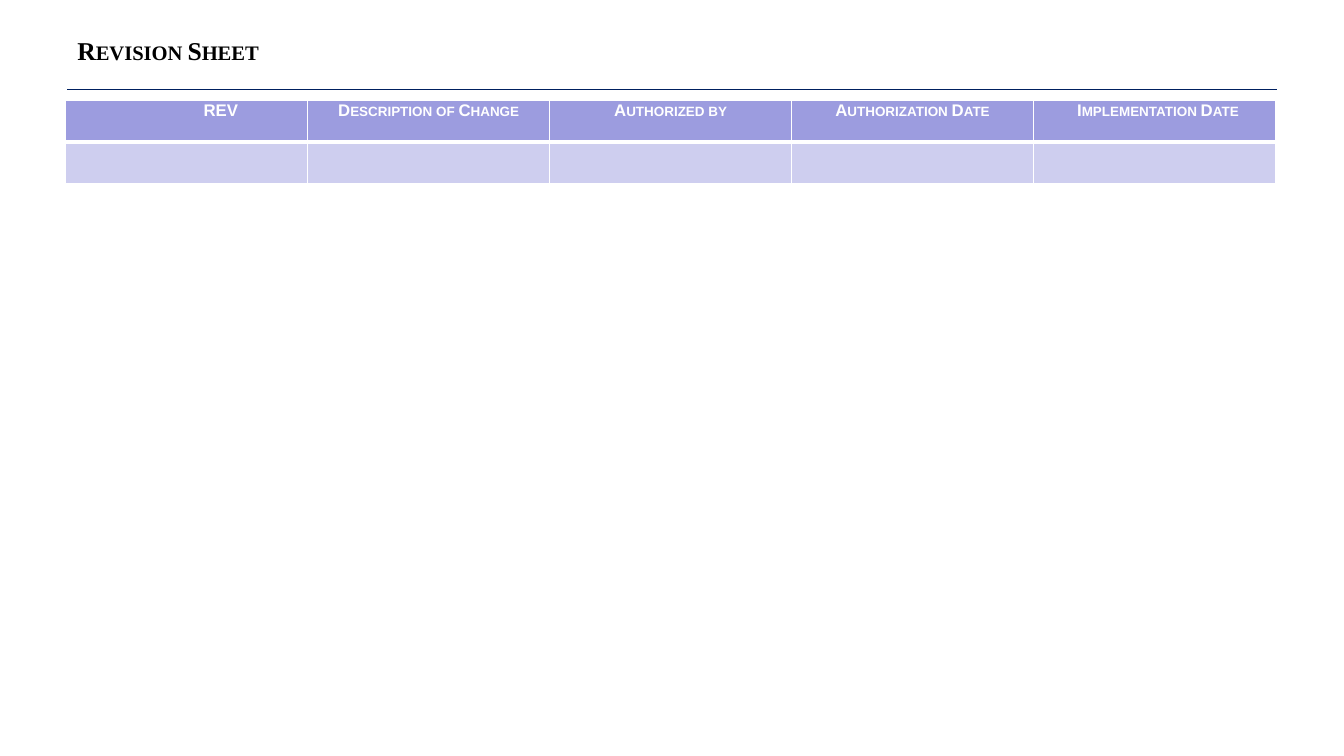
from dataclasses import dataclass

from lxml import etree
from pptx import Presentation
from pptx.dml.color import RGBColor
from pptx.enum.shapes import MSO_CONNECTOR
from pptx.enum.text import MSO_ANCHOR, PP_ALIGN
from pptx.oxml.ns import qn
from pptx.util import Pt

STRAIGHT = MSO_CONNECTOR.STRAIGHT
MIDDLE = MSO_ANCHOR.MIDDLE
TOP = MSO_ANCHOR.TOP
LEFT = PP_ALIGN.LEFT
CENTER = PP_ALIGN.CENTER


@dataclass(frozen=True)
class Theme:
    title_font: str = "Times New Roman"
    table_font: str = "Arial"
    title_size: float = 18.3
    header_size: float = 12
    ink: str = "000000"
    rule: str = "002060"
    header_fill: str = "9C9CDF"
    body_fill: str = "CECEEF"
    white: str = "FFFFFF"


class SlideBuilder:
    def __init__(self, slide, theme):
        self.slide = slide
        self.theme = theme

    def small_caps(self, paragraph, font_name, size, color, align):
        paragraph.alignment = align
        font = paragraph.font
        font.name = font_name
        font.size = Pt(size)
        font.bold = True
        font.color.rgb = RGBColor.from_string(color)
        for run in paragraph.runs:
            run._r.get_or_add_rPr().set("cap", "small")

    def title(self, text, left, top, width, height):
        title = self.slide.shapes.title
        title.left, title.top = Pt(left), Pt(top)
        title.width, title.height = Pt(width), Pt(height)
        frame = title.text_frame
        frame.text = text
        frame.vertical_anchor = MIDDLE
        self.small_caps(frame.paragraphs[0], self.theme.title_font,
                        self.theme.title_size, self.theme.ink, LEFT)

    def rule(self, left, top, width):
        rule = self.slide.shapes.add_connector(
            STRAIGHT, Pt(left), Pt(top), Pt(left + width), Pt(top))
        rule.line.color.rgb = RGBColor.from_string(self.theme.rule)
        rule.line.width = Pt(0.75)
        etree.SubElement(rule._element.spPr, qn("a:effectLst"))

    def borders(self, cell, top, bottom):
        properties = cell._tc.get_or_add_tcPr()
        widths = {"lnL": 1, "lnR": 1, "lnT": top, "lnB": bottom}
        for position, (side, width) in enumerate(widths.items()):
            edge = etree.Element(qn(f"a:{side}"), w=str(Pt(width)))
            fill = etree.SubElement(edge, qn("a:solidFill"))
            etree.SubElement(fill, qn("a:srgbClr"), val=self.theme.white)
            properties.insert(position, edge)

    def cell(self, cell, fill, top, bottom, indent=0):
        cell.fill.solid()
        cell.fill.fore_color.rgb = RGBColor.from_string(fill)
        cell.margin_left, cell.margin_right = Pt(5 + indent), Pt(5)
        cell.margin_top = cell.margin_bottom = 0
        cell.vertical_anchor = TOP
        self.borders(cell, top, bottom)

    def revision_table(self, headings, left, top, width, row_height):
        table = self.slide.shapes.add_table(
            2, len(headings), Pt(left), Pt(top), Pt(width), Pt(2 * row_height)).table
        table.horz_banding = False
        for column, (heading, indent) in enumerate(headings):
            header = table.cell(0, column)
            header.text = heading
            self.cell(header, self.theme.header_fill, 1, 3, indent)
            self.small_caps(header.text_frame.paragraphs[0], self.theme.table_font,
                            self.theme.header_size, self.theme.white, CENTER)
            self.cell(table.cell(1, column), self.theme.body_fill, 3, 1)


def main():
    presentation = Presentation()
    presentation.slide_width, presentation.slide_height = Pt(960), Pt(540)
    slide = presentation.slides.add_slide(presentation.slide_layouts[5])
    builder = SlideBuilder(slide, Theme())
    builder.rule(48, 64, 864)
    builder.title("Revision Sheet", 48, 19.5, 864, 32.4)
    headings = [
        ("REV", 24),
        ("Description of Change", 0),
        ("Authorized by", 0),
        ("Authorization Date", 0),
        ("Implementation Date", 5),
    ]
    builder.revision_table(headings, 47, 72, 864, 29.4)
    presentation.save("out.pptx")


if __name__ == "__main__":
    main()
